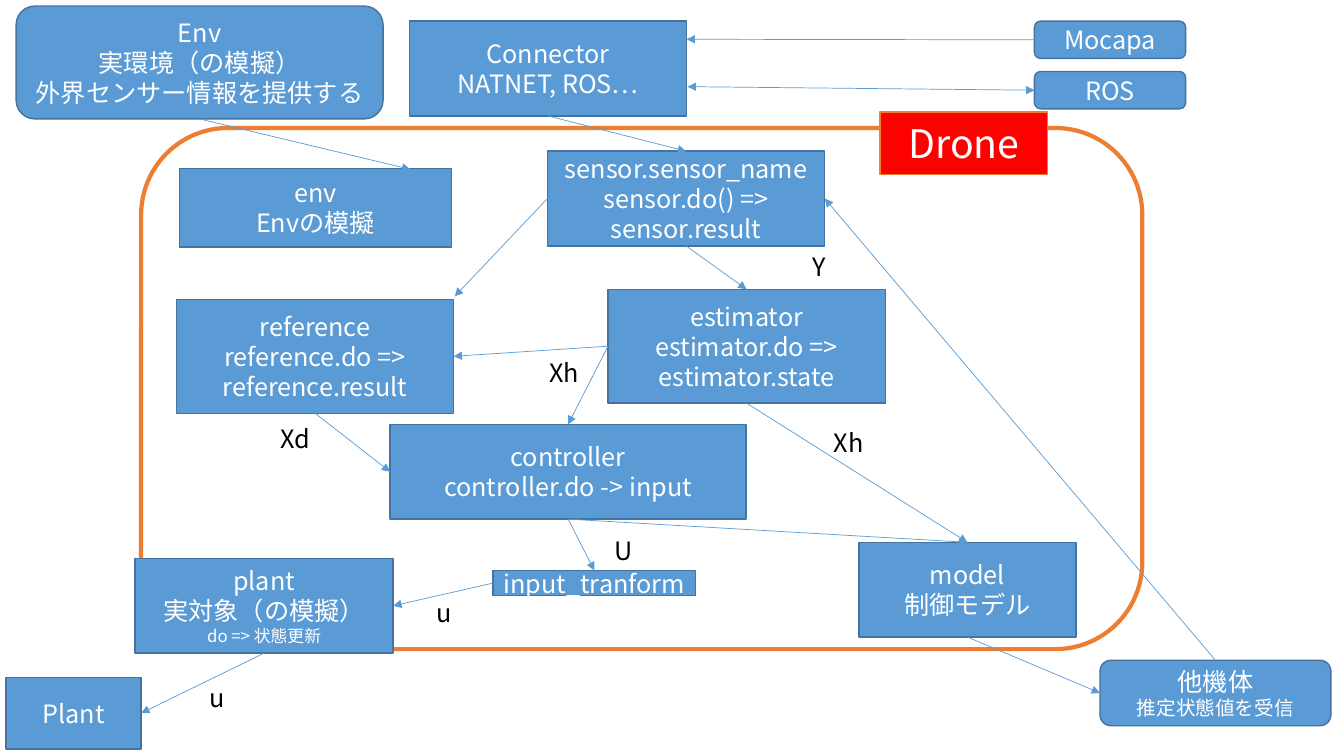
import pptx
import pptx.util
import pptx.dml.color
import pptx.enum.shapes
import pptx.enum.text
import pptx.oxml
import pptx.oxml.ns
from lxml import etree

INK = {"blue": "5B9BD5", "edge": "43739E", "orange": "ED7D31",
       "red": "FF0000", "white": "FFFFFF", "black": "000000"}
FONT = "Noto Sans CJK JP"
KIND = pptx.enum.shapes.MSO_SHAPE
STEP = KIND.FLOWCHART_PROCESS
ROUND = KIND.ROUNDED_RECTANGLE
TOP, LEFT, BASE, RIGHT = range(4)
Inches = pptx.util.Inches

OUTER = [
    ("Connector", STEP, (4.06, 0.21, 2.75, 0.94), "Connector\nNATNET, ROS…", [18, 18]),
    ("other", KIND.FLOWCHART_ALTERNATE_PROCESS, (10.91, 6.55, 2.29, 0.65),
     "他機体\n推定状態値を受信", [18, 14]),
    ("Env", ROUND, (0.16, 0.06, 3.64, 1.12),
     "Env\n実環境（の模擬）\n外界センサー情報を提供する", [18, 18, 18]),
    ("mocap", ROUND, (10.26, 0.21, 1.5, 0.37), "Mocapa", [18]),
    ("ROS", ROUND, (10.26, 0.71, 1.5, 0.37), "ROS", [18]),
    ("Plant", STEP, (0.06, 6.72, 1.34, 0.71), "Plant", [18]),
]
INNER = [
    ("sensor", STEP, (4.03, 0.23, 2.75, 0.94),
     "sensor.sensor_name\nsensor.do() => sensor.result", [18, 18]),
    ("estimator", STEP, (4.63, 1.6, 2.75, 1.13),
     "estimator\nestimator.do => estimator.state", [18, 18]),
    ("controller", STEP, (2.47, 2.94, 3.53, 0.94),
     "controller\vcontroller.do -> input", [18]),
    ("reference", STEP, (0.35, 1.7, 2.75, 1.13),
     "reference\nreference.do => reference.result", [18, 18]),
    ("model", STEP, (7.12, 4.11, 2.15, 0.94), "model\v制御モデル", [18]),
    ("input", STEP, (3.49, 4.39, 2.01, 0.25), "input_tranform", [18]),
    ("env", STEP, (0.38, 0.4, 2.7, 0.78), "env\nEnvの模擬", [18, 18]),
    ("plant", STEP, (-0.06, 4.27, 2.56, 0.94),
     "plant\v実対象（の模擬）\ndo => 状態更新", [18, 12]),
]
MARKS = [("Y", 6.56, 1.17, 0.36), ("Xh", 3.95, 2.23, 0.51), ("U", 4.6, 3.99, 0.39),
         ("Xd", 1.28, 2.88, 0.51), ("Xh", 6.77, 2.92, 0.51), ("u", 2.83, 4.61, 0.35)]
LINKS = [
    (("Env", BASE), (4.07, 1.68)),
    (("sensor", BASE), ("estimator", TOP)),
    (("estimator", LEFT), ("controller", TOP)),
    (("controller", BASE), ("model", TOP)),
    (("reference", BASE), ("controller", LEFT)),
    (("estimator", LEFT), ("reference", RIGHT)),
    (("sensor", LEFT), (4.51, 2.94)),
    (("controller", BASE), ("input", TOP)),
    (("input", LEFT), ("plant", RIGHT)),
    (("estimator", BASE), ("model", TOP)),
    (("model", BASE), ("other", LEFT)),
    (("Connector", BASE), ("sensor", TOP)),
    (("other", TOP), ("sensor", RIGHT)),
    (("mocap", LEFT), (6.81, 0.39)),
    (("ROS", LEFT), (6.82, 0.86)),
    (("plant", BASE), ("Plant", RIGHT)),
]


def tint(name):
    """Return the named colour."""
    return pptx.dml.color.RGBColor.from_string(INK[name])


def write(frame, text, sizes, ink, align):
    """Fill a text frame, with one size per paragraph."""
    frame.text = text
    for para, size in zip(frame.paragraphs, sizes):
        para.alignment = align
        for run in para.runs:
            run.font.size = pptx.util.Pt(size)
            run.font.name = FONT
            run.font.color.rgb = tint(ink)
            east = etree.SubElement(run.font._element, pptx.oxml.ns.qn("a:ea"))
            east.set("typeface", FONT)


def block(slide, kind, box, fill, edge, width=1):
    """Add a preset shape, hollow when fill is None."""
    shape = slide.shapes.add_shape(kind, *map(Inches, box))
    shape.shadow.inherit = False
    if fill:
        shape.fill.solid()
        shape.fill.fore_color.rgb = tint(fill)
    else:
        shape.fill.background()
    shape.line.color.rgb = tint(edge)
    shape.line.width = pptx.util.Pt(width)
    return shape


def label(shape, text, sizes):
    """Centre white text in a shape."""
    frame = shape.text_frame
    frame.word_wrap = True
    frame.vertical_anchor = pptx.enum.text.MSO_ANCHOR.MIDDLE
    write(frame, text, sizes, "white", pptx.enum.text.PP_ALIGN.CENTER)


def nodes(slide, box, rows):
    """Add labelled blocks offset from the box and return them by name."""
    found = {}
    for name, kind, (x, y, w, h), text, sizes in rows:
        place = (box[0] + x, box[1] + y, w, h)
        found[name] = block(slide, kind, place, "blue", "edge")
        label(found[name], text, sizes)
    return found


def marks(slide, box, rows):
    """Add signal names offset from the box."""
    for text, x, y, w in rows:
        note = slide.shapes.add_textbox(
            *map(Inches, (box[0] + x, box[1] + y, w, 0.4)))
        note.text_frame.word_wrap = False
        write(note.text_frame, text, [18], "black", pptx.enum.text.PP_ALIGN.LEFT)


def drone(slide, box):
    """Draw the drone frame, its title and the parts inside."""
    block(slide, ROUND, box, None, "orange", 3)
    parts = nodes(slide, box, INNER)
    title = block(slide, KIND.RECTANGLE,
                  (box[0] + 7.33, box[1] - 0.16, 1.66, 0.62), "red", "orange")
    label(title, "Drone", [28])
    marks(slide, box, MARKS)
    return parts


def world(slide, box):
    """Draw the parts around the drone."""
    marks(slide, box, [("u", 1.98, 6.72, 0.35)])
    return nodes(slide, box, OUTER)


def link(slide, parts, start, end):
    """Join two ends, each a block side or a point, with an arrow."""
    ends = [(0, 0) if tip[0] in parts else tip for tip in (start, end)]
    line = slide.shapes.add_connector(
        pptx.enum.shapes.MSO_CONNECTOR.STRAIGHT,
        *(Inches(n) for tip in ends for n in tip))
    for tip, join in ((start, line.begin_connect), (end, line.end_connect)):
        if tip[0] in parts:
            join(parts[tip[0]], tip[1])
    line.line.color.rgb = tint("blue")
    line.line.width = pptx.util.Pt(0.5)
    stroke = line.line._get_or_add_ln()
    heads = ("headEnd", "tailEnd") if start[0] == "ROS" else ("tailEnd",)
    for head in heads:
        etree.SubElement(stroke, pptx.oxml.ns.qn("a:" + head)).set("type", "triangle")
    etree.SubElement(line._element.spPr, pptx.oxml.ns.qn("a:effectLst"))


def main():
    """Build and save the slide."""
    deck = pptx.Presentation()
    deck.slide_width, deck.slide_height = Inches(13.33), Inches(7.5)
    slide = deck.slides.add_slide(deck.slide_layouts[6])
    parts = drone(slide, (1.4, 1.27, 9.93, 5.17))
    parts.update(world(slide, (0, 0, 13.33, 7.5)))
    for start, end in LINKS:
        link(slide, parts, start, end)
    deck.save("out.pptx")


main()
